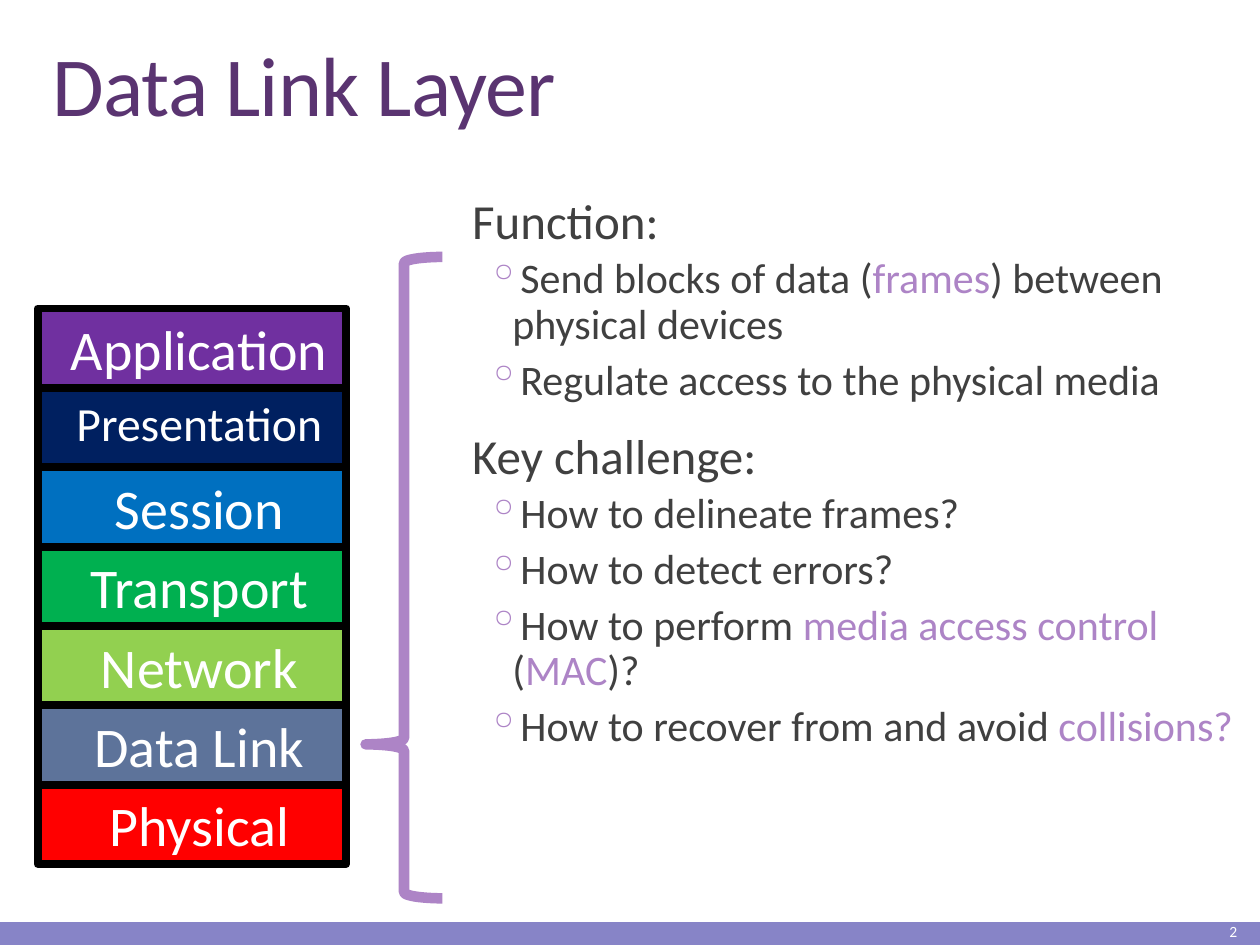
from lxml.etree import SubElement
from pptx import Presentation
from pptx.dml.color import RGBColor
from pptx.enum.shapes import MSO_SHAPE
from pptx.enum.text import MSO_ANCHOR, PP_ALIGN
from pptx.oxml.ns import qn
from pptx.util import Cm, Pt

PURPLE, LILAC, GREY, WHITE = "5A3471", "AD84C6", "404040", "FFFFFF"


def rgb(value):
    """Turn a hex string into a colour."""
    return RGBColor.from_string(value)


class Deck:
    """Holds the style and the current slide."""

    font = "Calibri"

    def __init__(self, prs):
        """Add a blank slide."""
        self.slide = prs.slides.add_slide(prs.slide_layouts[6])

    def shape(self, kind, box, fill=None, line=None, width=0):
        """Draw a preset shape."""
        sp = self.slide.shapes.add_shape(kind, *map(Cm, box))
        sp.shadow.inherit = False
        if fill:
            sp.fill.solid()
            sp.fill.fore_color.rgb = rgb(fill)
        else:
            sp.fill.background()
        if line:
            sp.line.color.rgb = rgb(line)
            sp.line.width = Pt(width)
        else:
            sp.line.fill.background()
        return sp

    def frame(self, box, anchor=MSO_ANCHOR.TOP):
        """Add a wrapping text box and return its text frame."""
        tf = self.slide.shapes.add_textbox(*map(Cm, box)).text_frame
        tf.word_wrap = True
        tf.vertical_anchor = anchor
        return tf

    def run(self, p, text, size, color):
        """Add one run to a paragraph."""
        r = p.add_run()
        r.text = text
        r.font.name = self.font
        r.font.size = Pt(size)
        r.font.color.rgb = rgb(color)
        return r

    def paragraph(self, tf, runs, level):
        """Add a heading (level 0) or a bulleted line (level 1)."""
        p = tf.paragraphs[0] if not tf.paragraphs[0].runs else tf.add_paragraph()
        p.level = level
        p.line_spacing = 0.9
        size, before, after = ((28, 12, 2), (24, 2, 4))[level]
        p.space_before, p.space_after = Pt(before), Pt(after)
        pPr = p._p.get_or_add_pPr()
        pPr.set("marL", str(Cm((0.25, 1.06)[level])))
        pPr.set("indent", str(Cm((0, -0.51)[level])))
        if level:
            clr = SubElement(pPr, qn("a:buClr"))
            SubElement(clr, qn("a:srgbClr"), val=LILAC)
            SubElement(pPr, qn("a:buChar"), char="◦")
        else:
            SubElement(pPr, qn("a:buNone"))
        for text, color in runs:
            self.run(p, text, size, color)


prs = Presentation()
prs.slide_width, prs.slide_height = Cm(25.4), Cm(19.05)
deck = Deck(prs)

deck.shape(MSO_SHAPE.RECTANGLE, (0, 18.59, 25.4, 0.46), "8784C7")

title = deck.frame((0.81, 0.79, 24.08, 2.03), MSO_ANCHOR.BOTTOM).paragraphs[0]
title.line_spacing = 0.85
r = deck.run(title, "Data Link Layer", 48, PURPLE)
r.font._element.set("spc", "-50")

body = deck.frame((9.27, 3.86, 15.62, 13.31))
body.margin_left = body.margin_right = 0
outline = [
    (0, [("Function:", GREY)]),
    (1, [("Send blocks of data (", GREY), ("frames", LILAC),
         (") between physical devices", GREY)]),
    (1, [("Regulate access to the physical media", GREY)]),
    (0, [("Key challenge:", GREY)]),
    (1, [("How to delineate frames?", GREY)]),
    (1, [("How to detect errors?", GREY)]),
    (1, [("How to perform ", GREY), ("media access control", LILAC),
         (" (", GREY), ("MAC", LILAC), (")?", GREY)]),
    (1, [("How to recover from and avoid ", GREY), ("collisions?", LILAC)]),
]
for level, runs in outline:
    deck.paragraph(body, runs, level)

number = deck.frame((22.45, 18.49, 2.74, 0.56), MSO_ANCHOR.MIDDLE).paragraphs[0]
number.alignment = PP_ALIGN.RIGHT
deck.run(number, "2", 8.9, WHITE)

layers = [
    ("Application", "7030A0", 32), ("Presentation", "002060", 27.2),
    ("Session", "0070C0", 32), ("Transport", "00B050", 32),
    ("Network", "92D050", 32), ("Data Link", "5D739A", 32),
    ("Physical", "FF0000", 32),
]
LAYER_TOP, LAYER_HEIGHT = 6.22, 1.6
for i, (name, fill, size) in enumerate(layers):
    sp = deck.shape(MSO_SHAPE.RECTANGLE,
                    (0.76, LAYER_TOP + i * LAYER_HEIGHT, 6.22, LAYER_HEIGHT),
                    fill, "000000", 4.5)
    tf = sp.text_frame
    tf.vertical_anchor = MSO_ANCHOR.TOP
    p = tf.paragraphs[0]
    p.alignment = PP_ALIGN.CENTER
    p._p.get_or_add_pPr().set("marL", str(Cm(0.3)))
    deck.run(p, name, size, WHITE)

brace = deck.shape(MSO_SHAPE.LEFT_BRACE, (7.37, 5.18, 1.55, 12.93),
                   line=LILAC, width=6)
brace.adjustments[0], brace.adjustments[1] = 0.08, 0.76

prs.save("out.pptx")
